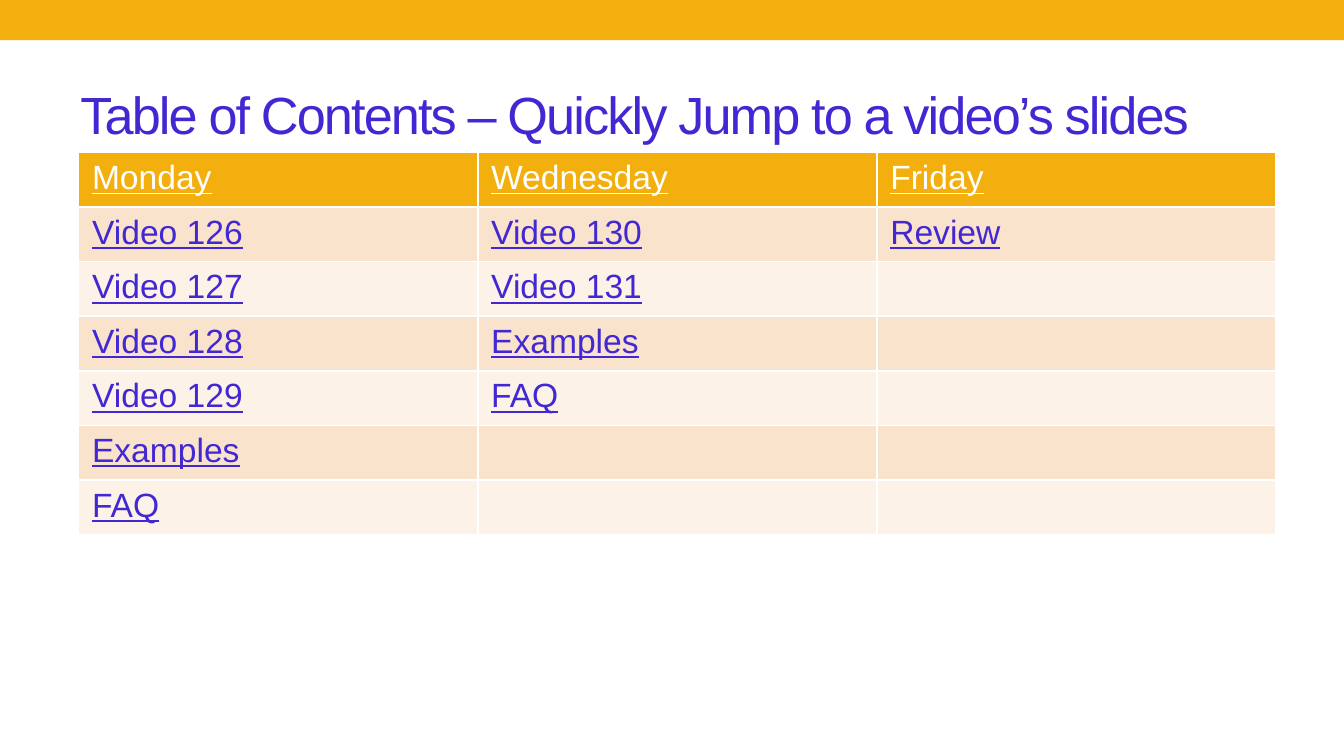
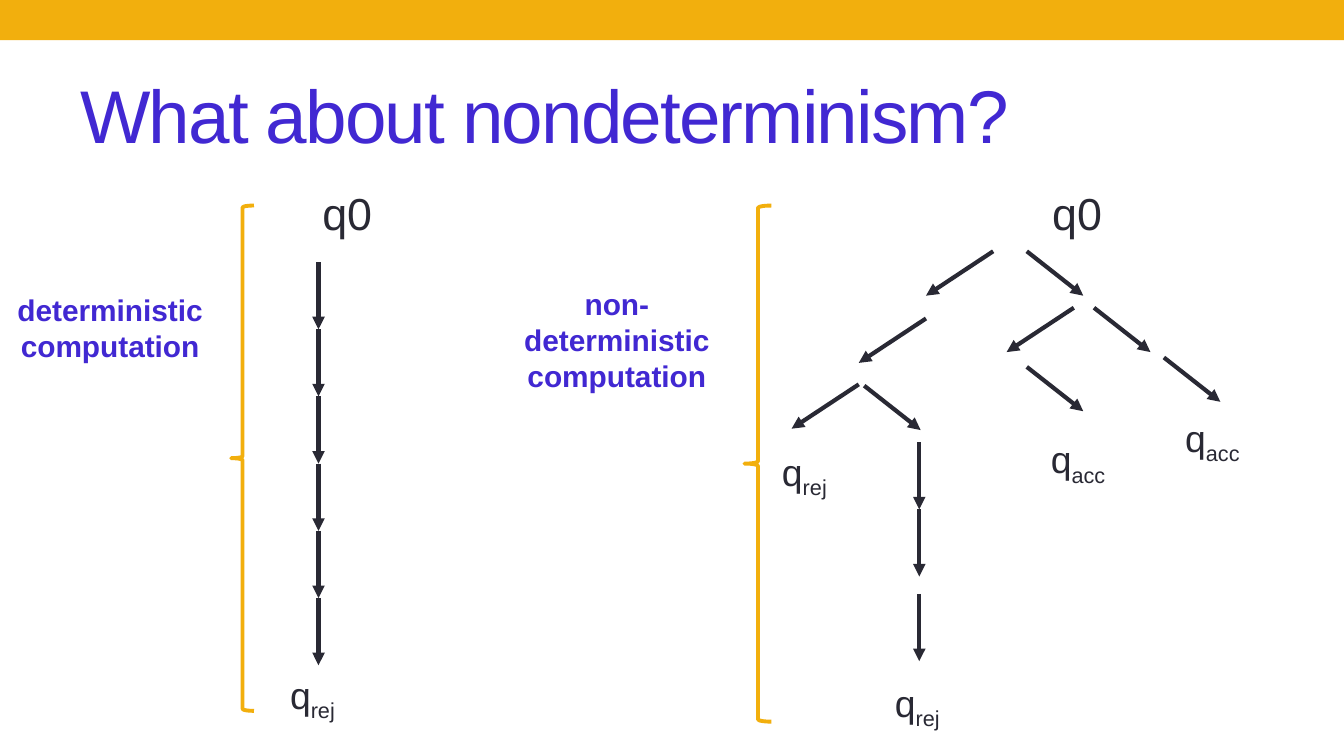
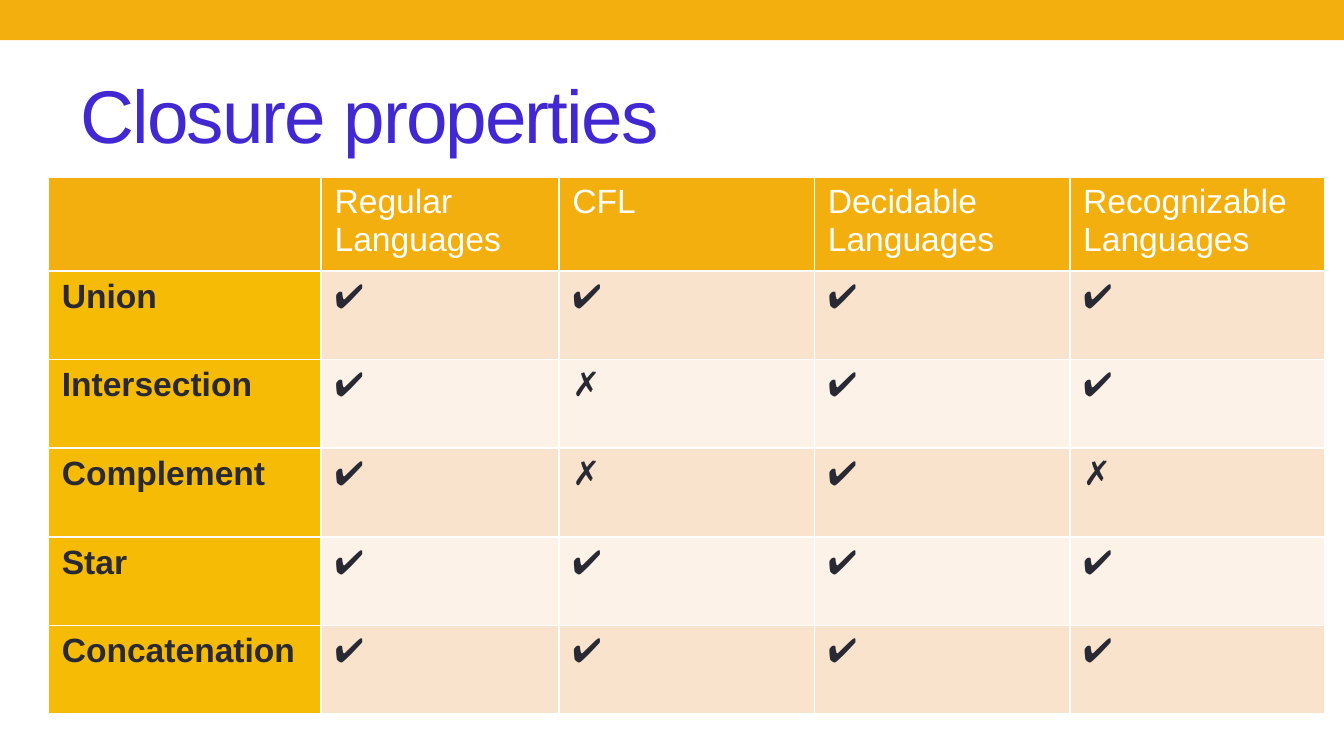
from pptx import Presentation
from pptx.dml.color import RGBColor
from pptx.enum.shapes import MSO_CONNECTOR as Connector, MSO_SHAPE as Shape
from pptx.enum.text import MSO_ANCHOR as Anchor, PP_ALIGN as Align
from pptx.oxml.ns import qn
from pptx.util import Inches, Pt
from lxml.etree import SubElement

# Palette and type
GOLD = RGBColor(0xF2, 0xAF, 0x0D)
AMBER = RGBColor(0xF6, 0xBC, 0x05)
PEACH = RGBColor(0xFA, 0xE3, 0xCC)
CREAM = RGBColor(0xFC, 0xF2, 0xE7)
VIOLET = RGBColor(0x41, 0x28, 0xD2)
INK = RGBColor(0x29, 0x29, 0x34)
WHITE = RGBColor(0xFF, 0xFF, 0xFF)
FACE = "Arial"

# The slide is a grid of 100 columns by 56.25 rows of equal size
COLUMNS, ROWS = 100, 56.25
UNIT = Inches(0.1)

DAYS = [
    ["Monday", "Wednesday", "Friday"],
    ["Video 126", "Video 130", "Review"],
    ["Video 127", "Video 131", ""],
    ["Video 128", "Examples", ""],
    ["Video 129", "FAQ", ""],
    ["Examples", "", ""],
    ["FAQ", "", ""],
]
YES, NO = "✔", "✗"
CLOSURE = [
    ["", "Regular Languages", "CFL", "Decidable Languages",
     "Recognizable Languages"],
    ["Union", YES, YES, YES, YES],
    ["Intersection", YES, NO, YES, YES],
    ["Complement", YES, NO, YES, NO],
    ["Star", YES, YES, YES, YES],
    ["Concatenation", YES, YES, YES, YES],
]

# Arrow steps, and where the arrows of each computation begin
DOWN, DOWN_LEFT, DOWN_RIGHT = (0, 5), (-5, 3.3), (4.2, 3.3)
DETERMINISTIC = {DOWN: [(23.7, 19.5 + 5 * step) for step in range(6)]}
NONDETERMINISTIC = {
    DOWN_LEFT: [(73.9, 18.7), (68.9, 23.7), (63.9, 28.6), (79.9, 22.9)],
    DOWN_RIGHT: [(76.4, 18.7), (81.4, 22.9), (86.6, 26.6), (76.4, 27.3),
                 (64.3, 28.7)],
    DOWN: [(68.4, 32.9), (68.4, 37.9), (68.4, 44.2)],
}
END_STATES = [("rej", 20.6, 49.5), ("rej", 57.2, 32.9), ("rej", 65.6, 50.1),
              ("acc", 77.2, 32), ("acc", 87.2, 30.4)]


def grid(*lengths):
    return [round(length * UNIT) for length in lengths]


def set_font(paragraph, size, color, bold=False, underline=None):
    font = paragraph.font
    font.name, font.size, font.bold = FACE, Pt(size), bold
    font.underline = underline
    font.color.rgb = color


def add_text(slide, box, lines, size, color, bold=False, align=Align.LEFT):
    frame = slide.shapes.add_textbox(*grid(*box)).text_frame
    frame.word_wrap = True
    frame.text = "\n".join(lines)
    for paragraph in frame.paragraphs:
        paragraph.alignment = align
        set_font(paragraph, size, color, bold)
    return frame


def add_slide(deck, title, title_size=40):
    """Add a blank slide with the gold band and the title."""
    slide = deck.slides.add_slide(deck.slide_layouts[6])
    band = slide.shapes.add_shape(Shape.RECTANGLE, *grid(0, 0, COLUMNS, 3))
    band.shadow.inherit = False
    band.fill.solid()
    band.fill.fore_color.rgb = GOLD
    band.line.fill.background()

    heading = add_text(slide, (5, 4.4, 90, 8.1), [title], title_size, VIOLET)
    heading.vertical_anchor = Anchor.MIDDLE
    heading.paragraphs[0].runs[0]._r.get_or_add_rPr().set("spc", "-100")
    return slide


def add_borders(cell):
    properties = cell._tc.get_or_add_tcPr()
    for side in ("a:lnL", "a:lnR", "a:lnT", "a:lnB"):
        border = SubElement(properties, qn(side), w=str(Pt(1)))
        paint = SubElement(border, qn("a:solidFill"))
        SubElement(paint, qn("a:srgbClr"), val=str(WHITE))


def add_banded_table(slide, corner, widths, row_height, entries,
                     text_color, underline=None, row_heads=False):
    size = (sum(widths), row_height * len(entries))
    table = slide.shapes.add_table(
        len(entries), len(widths), *grid(*corner, *size)).table
    table.horz_banding = False
    for column, width in zip(table.columns, grid(*widths)):
        column.width = width
    for r, entry in enumerate(entries):
        for c, words in enumerate(entry):
            cell = table.cell(r, c)
            row_head = row_heads and c == 0 and r > 0
            add_borders(cell)
            cell.fill.solid()
            if r == 0:
                cell.fill.fore_color.rgb = GOLD
            elif row_head:
                cell.fill.fore_color.rgb = AMBER
            else:
                cell.fill.fore_color.rgb = PEACH if r % 2 else CREAM
            cell.text = words
            set_font(cell.text_frame.paragraphs[0], 18,
                     text_color if r else WHITE, row_head, underline)


def add_arrows(slide, arrows):
    for (across, down), starts in arrows.items():
        for x, y in starts:
            arrow = slide.shapes.add_connector(
                Connector.STRAIGHT, *grid(x, y, x + across, y + down))
            arrow.line.color.rgb = INK
            arrow.line.width = Pt(2.25)
            SubElement(arrow.line._get_or_add_ln(), qn("a:tailEnd"),
                       type="triangle")
            SubElement(arrow._element.spPr, qn("a:effectLst"))


def add_brace(slide, box):
    brace = slide.shapes.add_shape(Shape.LEFT_BRACE, *grid(*box))
    brace.shadow.inherit = False
    brace.fill.background()
    brace.line.color.rgb = GOLD
    brace.line.width = Pt(2.08)


def add_start_state(slide, left, indent):
    start = add_text(slide, (left, 13.3, 44.2, 42.9), ["q0"], 24, INK)
    properties = start.paragraphs[0]._p.get_or_add_pPr()
    properties.set("marL", str(round(indent * UNIT)))


def add_end_state(slide, outcome, x, y):
    state = add_text(slide, (x, y, 6.7, 4.4), ["q"], 20, INK).paragraphs[0]
    subscript = state.add_run()
    subscript.text = outcome
    subscript._r.get_or_add_rPr().set("baseline", "-25000")


def add_caption(slide, box, lines):
    add_text(slide, box, lines, 16, VIOLET, True, Align.CENTER)


def main():
    deck = Presentation()
    deck.slide_width, deck.slide_height = grid(COLUMNS, ROWS)

    # Contents by day
    contents = add_slide(
        deck, "Table of Contents – Quickly Jump to a video’s slides", 28)
    add_banded_table(contents, (5.85, 11.35), [29.7] * 3, 4.06, DAYS, VIOLET,
                     underline=True)

    # One computation path beside a tree of them
    paths = add_slide(deck, "What about nondeterminism?")
    add_start_state(paths, 4.7, 18.3)
    add_start_state(paths, 50.5, 26.8)
    add_arrows(paths, DETERMINISTIC)
    add_brace(paths, (17.2, 15.3, 1.7, 37.6))
    add_caption(paths, (0, 21.2, 16.4, 6.4), ["deterministic computation"])
    add_arrows(paths, NONDETERMINISTIC)
    add_brace(paths, (55.4, 15.3, 2, 38.4))
    add_caption(paths, (37.7, 20.8, 16.4, 9.1),
                ["non-", "deterministic computation"])
    for outcome, x, y in END_STATES:
        add_end_state(paths, outcome, x, y)

    # Which language classes are closed under which operations
    closure = add_slide(deck, "Closure properties")
    add_banded_table(closure, (3.6, 13.15), [20.3, 17.7, 19, 19, 19], 6.6,
                     CLOSURE, INK, row_heads=True)

    deck.save("out.pptx")


if __name__ == "__main__":
    main()
